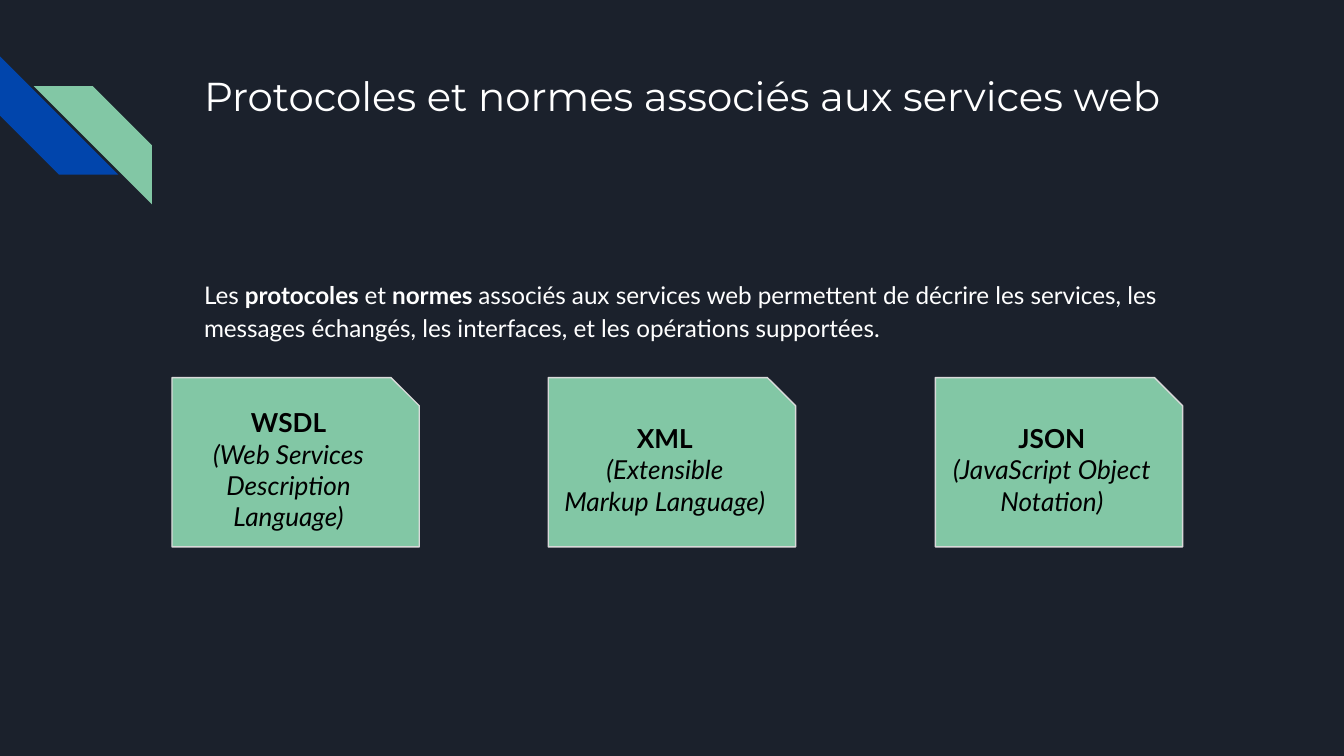
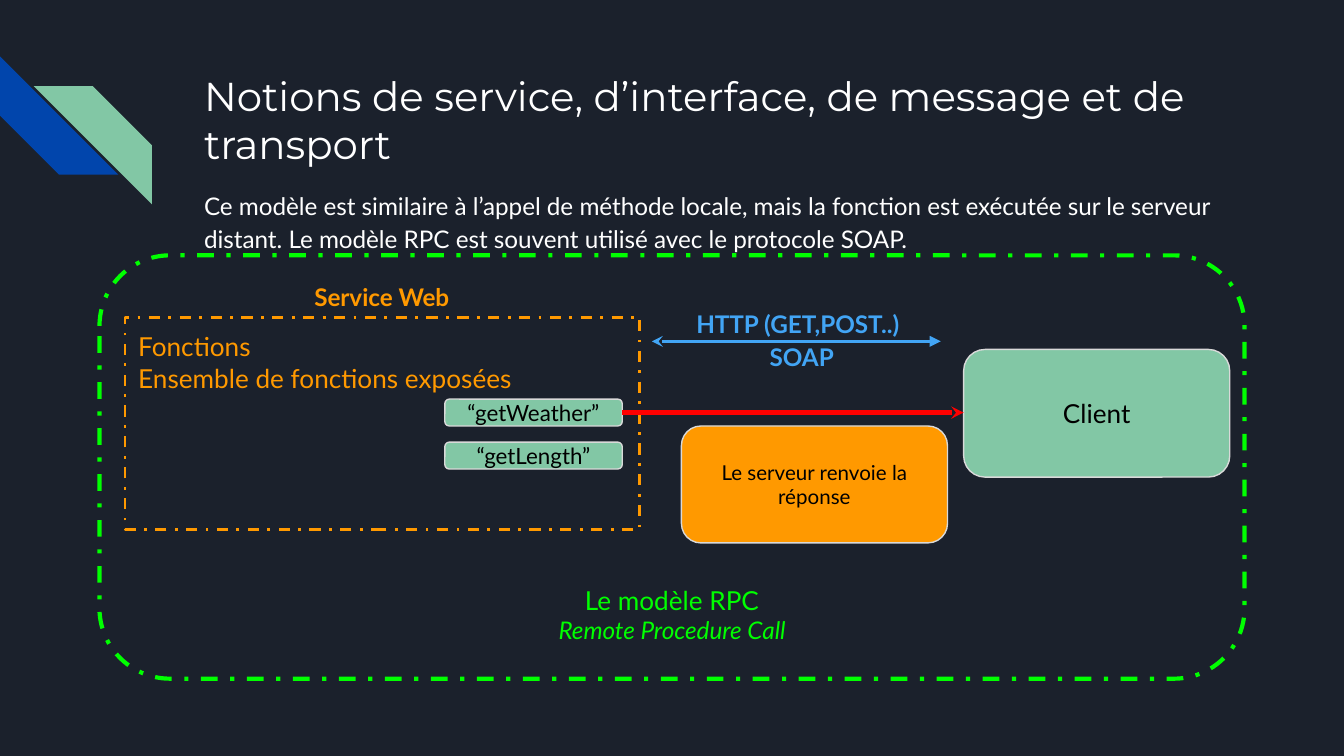
import pptx
import pptx.dml.color
import pptx.enum.dml
import pptx.enum.shapes
import pptx.enum.text
import pptx.util
from lxml import etree
from pptx.dml.color import RGBColor
from pptx.util import Inches

NAVY = RGBColor(0x1B, 0x21, 0x2C)
BLUE = RGBColor(0x01, 0x45, 0xAC)
MINT = RGBColor(0x82, 0xC7, 0xA5)
WHITE = RGBColor(0xFF, 0xFF, 0xFF)
BLACK = RGBColor(0x00, 0x00, 0x00)
GREY = RGBColor(0xD9, 0xD9, 0xD9)
GREEN = RGBColor(0x00, 0xFF, 0x00)
ORANGE = RGBColor(0xFF, 0x99, 0x00)
SKY = RGBColor(0x42, 0xA5, 0xF5)
RED = RGBColor(0xFF, 0x00, 0x00)

SHAPE = pptx.enum.shapes.MSO_SHAPE
ANCHOR = pptx.enum.text.MSO_ANCHOR
LEFT = pptx.enum.text.PP_ALIGN.LEFT
CENTER = pptx.enum.text.PP_ALIGN.CENTER
DRAWING = "http://schemas.openxmlformats.org/drawingml/2006/main"

TITLE = {"name": "Montserrat", "size": 21.6, "color": WHITE}
BODY = {"name": "Lato", "size": 13, "color": WHITE}
LABEL = {"name": "Lato", "size": 14, "color": BLACK}
BODY_SPACING = {"line_spacing": 1.15, "space_after": pptx.util.Pt(12)}


def write(shape, paragraphs, style, align=CENTER, anchor=ANCHOR.MIDDLE, spacing={}):
    """Fill a shape with paragraphs, each a list of (text, changes to the style)."""
    frame = shape.text_frame
    frame.word_wrap = True
    frame.vertical_anchor = anchor
    for side in ("left", "right", "top", "bottom"):
        setattr(frame, f"margin_{side}", Inches(0.1))
    for index, runs in enumerate(paragraphs):
        paragraph = frame.add_paragraph() if index else frame.paragraphs[0]
        for name, value in {"alignment": align, **spacing}.items():
            setattr(paragraph, name, value)
        for text, changes in runs:
            run = paragraph.add_run()
            run.text = text
            for name, value in {**style, **changes}.items():
                if name == "color":
                    run.font.color.rgb = value
                else:
                    setattr(run.font, name, pptx.util.Pt(value) if name == "size" else value)


def add_box(slide, kind, place, fill=None, line=GREY, width=0.75, dash=None):
    """Add a preset shape with a flat fill and outline; None leaves either out."""
    shape = slide.shapes.add_shape(kind, *map(Inches, place))
    shape.shadow.inherit = False
    for part, color in ((shape.fill, fill), (shape.line.fill, line)):
        if color is None:
            part.background()
        else:
            part.solid()
            part.fore_color.rgb = color
    if line is not None:
        shape.line.width = pptx.util.Pt(width)
        shape.line.dash_style = dash
    return shape


# Slide size: 10 inches wide, 16:9
presentation = pptx.Presentation()
presentation.slide_width = Inches(10)
presentation.slide_height = Inches(10 * 9 / 16)

# Shared frame of both slides: background, corner stripes, title and body
contents = [
    ("Protocoles et normes associés aux services web", 1.95, 0.72, [
        ("Les ", {}), ("protocoles ", {"bold": True}),
        ("et ", {}), ("normes ", {"bold": True}),
        ("associés aux services web permettent de décrire les services, "
         "les messages échangés, les interfaces, et les opérations supportées.", {})]),
    ("Notions de service, d’interface, de message et de transport", 1.29, 0.73, [
        ("Ce modèle est similaire à l’appel de méthode locale, mais la fonction "
         "est exécutée sur le serveur distant. Le modèle RPC est souvent utilisé "
         "avec le protocole SOAP.", {})]),
]
slides = []
for title, body_top, body_height, body in contents:
    slide = presentation.slides.add_slide(presentation.slide_layouts[6])
    slide.background.fill.solid()
    slide.background.fill.fore_color.rgb = NAVY
    for left, top, rotation, color in ((0, 0.42, 270, BLUE), (0.25, 0.64, 90, MINT)):
        stripe = add_box(slide, SHAPE.DIAGONAL_STRIPE, (left, top, 0.88, 0.88), color, None)
        stripe.rotation = rotation
    title_box = slide.shapes.add_textbox(*map(Inches, (1.42, 0.43, 7.7, 1)))
    write(title_box, [[(title, {})]], TITLE, LEFT, ANCHOR.TOP)
    body_box = slide.shapes.add_textbox(*map(Inches, (1.42, body_top, 7.7, body_height)))
    write(body_box, [body], BODY, LEFT, ANCHOR.TOP, BODY_SPACING)
    slides.append(slide)
formats_slide, rpc_slide = slides

# Slide 1: one card per format
for left, acronym, meaning in (
    (1.28, "WSDL", "(Web Services Description Language)"),
    (4.08, "XML", "(Extensible Markup Language)"),
    (6.96, "JSON", "(JavaScript Object Notation)"),
):
    card = add_box(formats_slide, SHAPE.SNIP_1_RECTANGLE, (left, 2.81, 1.84, 1.26), MINT)
    write(card, [[(acronym, {"bold": True})], [(meaning, {"italic": True})]], LABEL)

# Slide 2: dashed frames of the model and of the web service
DASH_DOT = pptx.enum.dml.MSO_LINE.DASH_DOT
model = add_box(rpc_slide, SHAPE.ROUNDED_RECTANGLE, (0.74, 1.9, 8.52, 3.15),
                None, GREEN, 2.25, DASH_DOT)
write(model, [[("Le modèle RPC", {})],
              [("Remote Procedure Call", {"size": 13, "italic": True})]],
      {**LABEL, "color": GREEN}, anchor=ANCHOR.BOTTOM)
service = add_box(rpc_slide, SHAPE.RECTANGLE, (0.93, 2.36, 3.83, 1.58),
                  None, ORANGE, 1.5, DASH_DOT)
write(service, [[("Fonctions", {})], [("Ensemble de fonctions exposées", {})]],
      {**LABEL, "color": ORANGE}, LEFT, ANCHOR.TOP)

# Slide 2: bold captions
for text, left, top, width, color in (
    ("Service Web", 2.14, 2, 1.4, ORANGE),
    ("HTTP (GET,POST..)", 5.04, 2.2, 1.79, SKY),
    ("SOAP", 5.07, 2.45, 1.79, SKY),
):
    caption = rpc_slide.shapes.add_textbox(*map(Inches, (left, top, width, 0.36)))
    write(caption, [[(text, {})]], {**BODY, "color": color, "bold": True}, anchor=ANCHOR.TOP)

# Slide 2: functions, client and reply
for text, place, fill, size in (
    ("“getWeather”", (3.31, 2.97, 1.32, 0.2), MINT, 12),
    ("“getLength”", (3.31, 3.29, 1.32, 0.2), MINT, 12),
    ("Client", (7.17, 2.6, 1.98, 0.95), MINT, 14),
    ("Le serveur renvoie la réponse", (5.07, 3.17, 1.98, 0.87), ORANGE, 11),
):
    box = add_box(rpc_slide, SHAPE.ROUNDED_RECTANGLE, place, fill)
    write(box, [[(text, {})]], {**LABEL, "size": size})

# Slide 2: arrows between service and client
for start, end, y, color, width, arrowheads in (
    (4.85, 7, 2.54, SKY, 1.5, {"headEnd": "stealth", "tailEnd": "triangle"}),
    (7.17, 4.63, 3.07, RED, 2.25, {"headEnd": "stealth"}),
):
    arrow = rpc_slide.shapes.add_connector(
        pptx.enum.shapes.MSO_CONNECTOR.STRAIGHT, *map(Inches, (start, y, end, y)))
    arrow.line.color.rgb = color
    arrow.line.width = pptx.util.Pt(width)
    for tag, kind in arrowheads.items():
        etree.SubElement(arrow.line._get_or_add_ln(), f"{{{DRAWING}}}{tag}", type=kind)
    etree.SubElement(arrow._element.spPr, f"{{{DRAWING}}}effectLst")

presentation.save("out.pptx")
